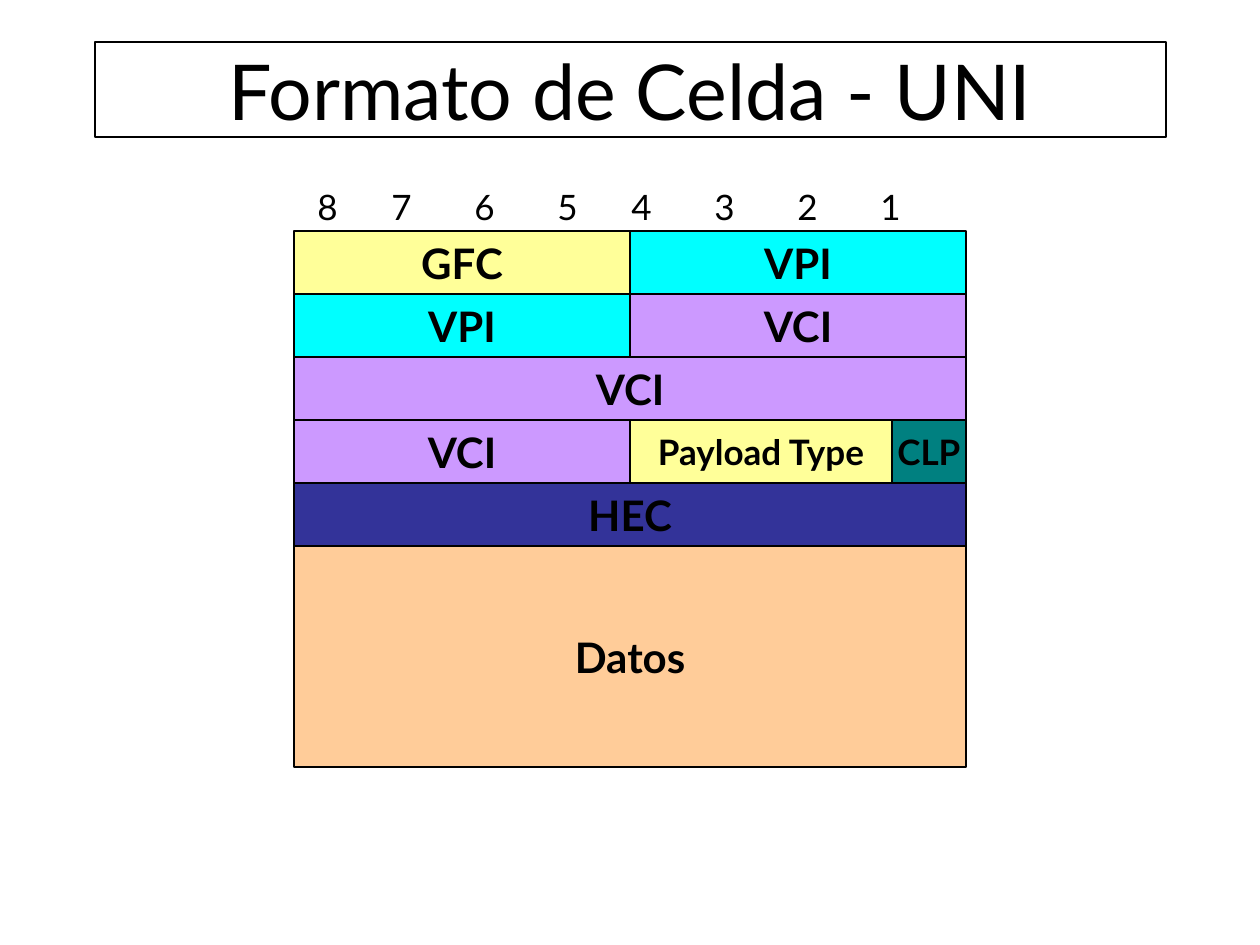
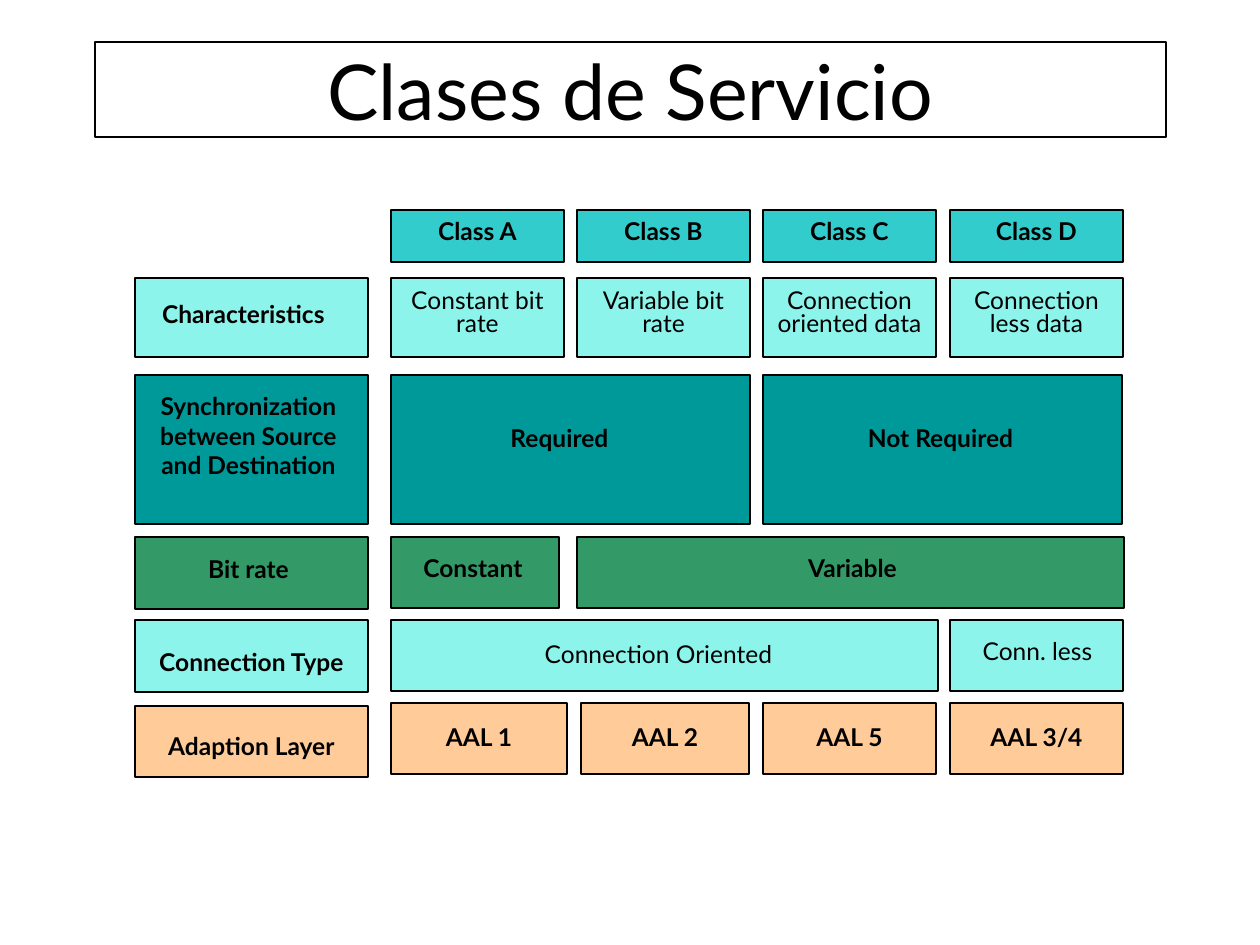
from dataclasses import dataclass

from lxml import etree
from pptx import Presentation
from pptx import util as u
from pptx.dml.color import RGBColor
from pptx.enum import shapes, text
from pptx.oxml.ns import qn

SCALE = 914400 / 126


def px(n):
    return u.Emu(round(n * SCALE))


@dataclass(frozen=True)
class Theme:
    font: str = "Lato"
    ink: str = "000000"
    yellow: str = "FFFF99"
    cyan: str = "00FFFF"
    violet: str = "CC99FF"
    teal: str = "008080"
    navy: str = "333399"
    peach: str = "FFCC99"
    turquoise: str = "33CCCC"
    aqua: str = "8CF4EA"
    sea: str = "009999"
    green: str = "339966"
    title: int = 44
    field: int = 24
    small_field: int = 20
    label: int = 14
    thin: float = 0.75
    line: float = 1


class Deck:
    def __init__(self, theme):
        self.t = theme
        self.prs = Presentation()
        self.prs.slide_width, self.prs.slide_height = px(1260), px(945)
        self.s = None

    def slide(self, title):
        self.s = self.prs.slides.add_slide(self.prs.slide_layouts[6])
        sp = self.box(95, 42, 1071, 95, None, self.t.thin)
        self.add_lines(sp.text_frame, [title], self.t.title, bold=False)

    def box(self, x, y, w, h, fill, line):
        sp = self.s.shapes.add_shape(shapes.MSO_SHAPE.RECTANGLE, px(x), px(y), px(w), px(h))
        sp.shadow.inherit = False
        if fill:
            sp.fill.solid()
            sp.fill.fore_color.rgb = RGBColor.from_string(fill)
        else:
            sp.fill.background()
        sp.line.color.rgb = RGBColor.from_string(self.t.ink)
        sp.line.width = u.Pt(line)
        sp.text_frame.vertical_anchor = text.MSO_ANCHOR.MIDDLE
        return sp

    def add_lines(self, tf, lines, size, bold=True, align=text.PP_ALIGN.CENTER, spacing=None):
        for i, line in enumerate(lines):
            p = tf.add_paragraph() if i else tf.paragraphs[0]
            p.alignment = align
            if spacing:
                p.line_spacing = spacing
            r = p.add_run()
            r.text = line
            r.font.name, r.font.size, r.font.bold = self.t.font, u.Pt(size), bold
            r.font.color.rgb = RGBColor.from_string(self.t.ink)

    def textbox(self, x, y, w, h, lines, size, **style):
        tf = self.s.shapes.add_textbox(px(x), px(y), px(w), px(h)).text_frame
        tf.word_wrap = True
        self.add_lines(tf, lines, size, **style)
        return tf

    def field(self, x, y, w, h, name, fill, size):
        tf = self.box(x, y, w, h, fill, self.t.thin).text_frame
        tf.word_wrap = False
        self.add_lines(tf, [name], size)

    def ruler(self, x, y, w, h, marks, stops):
        tf = self.textbox(x, y, w, h, ["\t".join(marks)], self.t.small_field,
                          bold=False, align=text.PP_ALIGN.LEFT)
        tabs = etree.SubElement(tf.paragraphs[0]._p.get_or_add_pPr(), qn("a:tabLst"))
        for stop in stops:
            etree.SubElement(tabs, qn("a:tab"), pos=str(px(stop)), algn="l")

    def panel(self, x, y, w, h, fill, caption, dx=0, dy=0, label_w=197, **style):
        self.box(x, y, w, h, fill, self.t.line)
        lines = caption.split("\n")
        self.textbox(x + (w - label_w) / 2 + dx, y + dy, label_w, 12 + 30 * len(lines),
                     lines, self.t.label, **style)


def cell_format(d):
    t = d.t
    left, top, full, half, row_h = 294, 231, 672, 336, 63
    d.slide("Formato de Celda - UNI")
    rows = [
        [("GFC", half, t.yellow), ("VPI", half, t.cyan)],
        [("VPI", half, t.cyan), ("VCI", half, t.violet)],
        [("VCI", full, t.violet)],
        [("VCI", half, t.violet), ("Payload Type", 262, t.yellow), ("CLP", 74, t.teal)],
        [("HEC", full, t.navy)],
        [("Datos", full, t.peach)],
    ]
    for i, row in enumerate(rows):
        x = left
        for name, w, fill in row:
            h = 221 if name == "Datos" else row_h
            size = t.field if w >= half else t.small_field
            d.field(x, top + i * row_h, w, h, name, fill, size)
            x += w
    d.ruler(305, 179, 696, 55, "87654321", [74, 157, 240, 314, 397, 480, 563])


def service_classes(d):
    t = d.t
    col = [391 + i * 559 // 3 for i in range(4)]
    col_w, pair_w, triple_w = 173, 359, 547
    d.slide("Clases de Servicio")

    headings = [
        ("Characteristics", 278, 79, t.aqua, -8, 15),
        ("Synchronization\nbetween Source\nand Destination", 375, 149, t.sea, -3, 10),
        ("Bit rate", 537, 72, t.green, -3, 11),
        ("Connection Type", 620, 72, t.aqua, 0, 21),
        ("Adaption Layer", 706, 71, t.peach, 0, 19),
    ]
    for caption, y, h, fill, dx, dy in headings:
        d.panel(135, y, 233, h, fill, caption, dx, dy, label_w=250)

    traits = ["Constant bit\nrate", "Variable bit\nrate",
              "Connection\noriented data", "Connection\nless data"]
    for x, letter, trait in zip(col, "ABCD", traits):
        d.panel(x, 210, col_w, 52, t.turquoise, f"Class {letter}")
        d.panel(x, 278, col_w, 79, t.aqua, trait, dy=6, bold=False, spacing=0.8)

    d.panel(col[0], 375, pair_w, 149, t.sea, "Required", -11, 42)
    d.panel(col[2], 375, pair_w, 149, t.sea, "Not Required", -2, 42)

    d.panel(col[0], 537, 168, 71, t.green, "Constant", -2, 10)
    d.panel(col[1], 537, triple_w, 71, t.green, "Variable", 2, 10)

    d.panel(col[0], 620, triple_w, 71, t.aqua, "Connection Oriented", -6, 13, 319, bold=False)
    d.panel(col[3], 620, col_w, 71, t.aqua, "Conn. less", 1, 10, bold=False)

    layers = [("1", col[0], 176), ("2", 581, 168), ("5", col[2], col_w), ("3/4", col[3], col_w)]
    for number, x, w in layers:
        d.panel(x, 703, w, 71, t.peach, f"AAL {number}", dy=13, label_w=122)


def main():
    d = Deck(Theme())
    cell_format(d)
    service_classes(d)
    d.prs.save("out.pptx")


if __name__ == "__main__":
    main()
